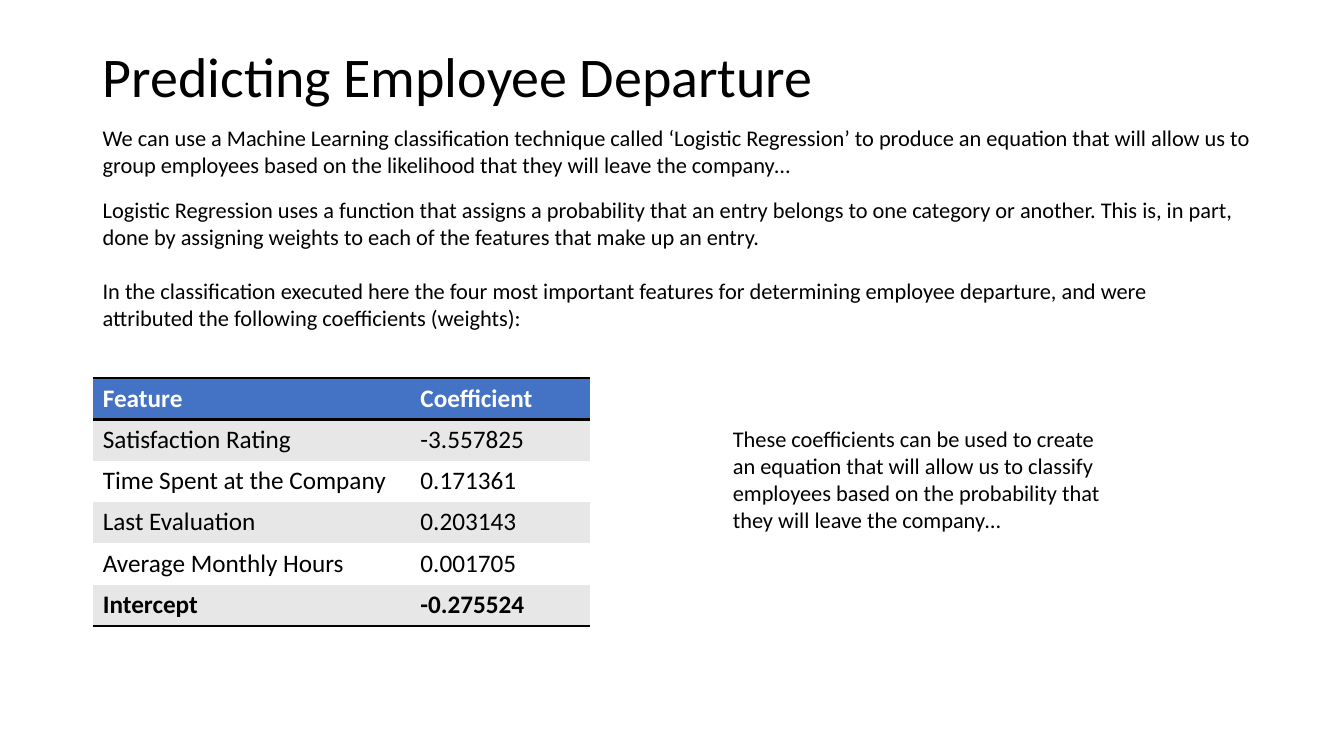
from lxml import etree
from pptx import Presentation
from pptx.dml.color import RGBColor
from pptx.enum import text
from pptx.oxml import ns
from pptx.util import Inches, Pt

BLACK = RGBColor(0x00, 0x00, 0x00)
WHITE = RGBColor(0xFF, 0xFF, 0xFF)
BLUE = RGBColor(0x44, 0x72, 0xC4)
GREY = RGBColor(0xE7, 0xE7, 0xE7)
FONT = "Calibri"
NO_GRID_STYLE = "{2D5ABB26-0587-4C30-8999-92F81FD0307C}"

LEFT = 0.92
BODY_SIZE = 16
BLANK_LINE = Pt(19.5)
COLUMN_WIDTHS = (3.15, 1.78)
ROW_HEIGHT = 0.41

INTRO = ("We can use a Machine Learning classification technique called ‘Logistic Regression’ "
         "to produce an equation that will allow us to group employees based on the likelihood "
         "that they will leave the company…")
METHOD = ("Logistic Regression uses a function that assigns a probability that an entry belongs "
          "to one category or another. This is, in part, done by assigning weights to each of "
          "the features that make up an entry.")
FEATURES = ("In the classification executed here the four most important features for "
            "determining employee departure, and were attributed the following coefficients "
            "(weights):")
OUTCOME = ("These coefficients can be used to create an equation that will allow us to classify "
           "employees based on the probability that they will leave the company…")
COEFFICIENTS = [
    ("Feature", "Coefficient"),
    ("Satisfaction Rating", "-3.557825"),
    ("Time Spent at the Company", "0.171361"),
    ("Last Evaluation", "0.203143"),
    ("Average Monthly Hours", "0.001705"),
    ("Intercept", "-0.275524"),
]


def format_paragraph(para, size, color=BLACK, bold=False):
    for span in para.runs:
        span.font.name = FONT
        span.font.size = Pt(size)
        span.font.color.rgb = color
        span.font.bold = bold


def add_text(page, left, top, width, height, paragraphs, size=BODY_SIZE):
    box = page.shapes.add_textbox(Inches(left), Inches(top), Inches(width), Inches(height))
    frame = box.text_frame
    frame.word_wrap = True
    frame.text = "\n".join(paragraphs)
    for para in frame.paragraphs:
        format_paragraph(para, size)
    return frame


def add_title(page, title):
    frame = add_text(page, LEFT, 0.39, 11.5, 0.79, [title], size=40)
    frame.vertical_anchor = text.MSO_ANCHOR.MIDDLE
    frame.paragraphs[0].line_spacing = 0.9


def add_border(cell, side):
    """Rule one side of a cell; call before filling, as borders precede the fill."""
    properties = cell._tc.get_or_add_tcPr()
    line = etree.SubElement(properties, ns.qn(f"a:{side}"), w=str(Pt(2)))
    fill = etree.SubElement(line, ns.qn("a:solidFill"))
    etree.SubElement(fill, ns.qn("a:srgbClr"), val=str(BLACK))


def add_coefficient_table(page, left, top, rows):
    frame = page.shapes.add_table(
        len(rows), len(COLUMN_WIDTHS), Inches(left), Inches(top),
        Inches(sum(COLUMN_WIDTHS)), Inches(ROW_HEIGHT * len(rows)))
    table = frame.table
    table._tbl.tblPr.find(ns.qn("a:tableStyleId")).text = NO_GRID_STYLE
    for column, width in zip(table.columns, COLUMN_WIDTHS):
        column.width = Inches(width)

    last = len(rows) - 1
    for r, values in enumerate(rows):
        table.rows[r].height = Inches(ROW_HEIGHT)
        header = r == 0
        for c, value in enumerate(values):
            cell = table.cell(r, c)
            cell.text = value
            format_paragraph(cell.text_frame.paragraphs[0], 18,
                             WHITE if header else BLACK, bold=r in (0, last))
            if header:
                add_border(cell, "lnT")
            if r in (0, last):
                add_border(cell, "lnB")
            cell.fill.solid()
            cell.fill.fore_color.rgb = BLUE if header else GREY if r % 2 else WHITE


def main():
    deck = Presentation()
    deck.slide_width, deck.slide_height = Inches(13.33), Inches(7.5)
    page = deck.slides.add_slide(deck.slide_layouts[6])

    add_title(page, "Predicting Employee Departure")
    add_text(page, LEFT, 1.18, 11.85, 0.94, [INTRO])
    method = add_text(page, LEFT, 1.9, 11.5, 2.02, [METHOD, FEATURES])
    method.paragraphs[1].space_before = BLANK_LINE
    add_coefficient_table(page, LEFT, 3.75, COEFFICIENTS)
    add_text(page, 7.17, 4.17, 3.92, 1.18, [OUTCOME])

    deck.save("out.pptx")


if __name__ == "__main__":
    main()
